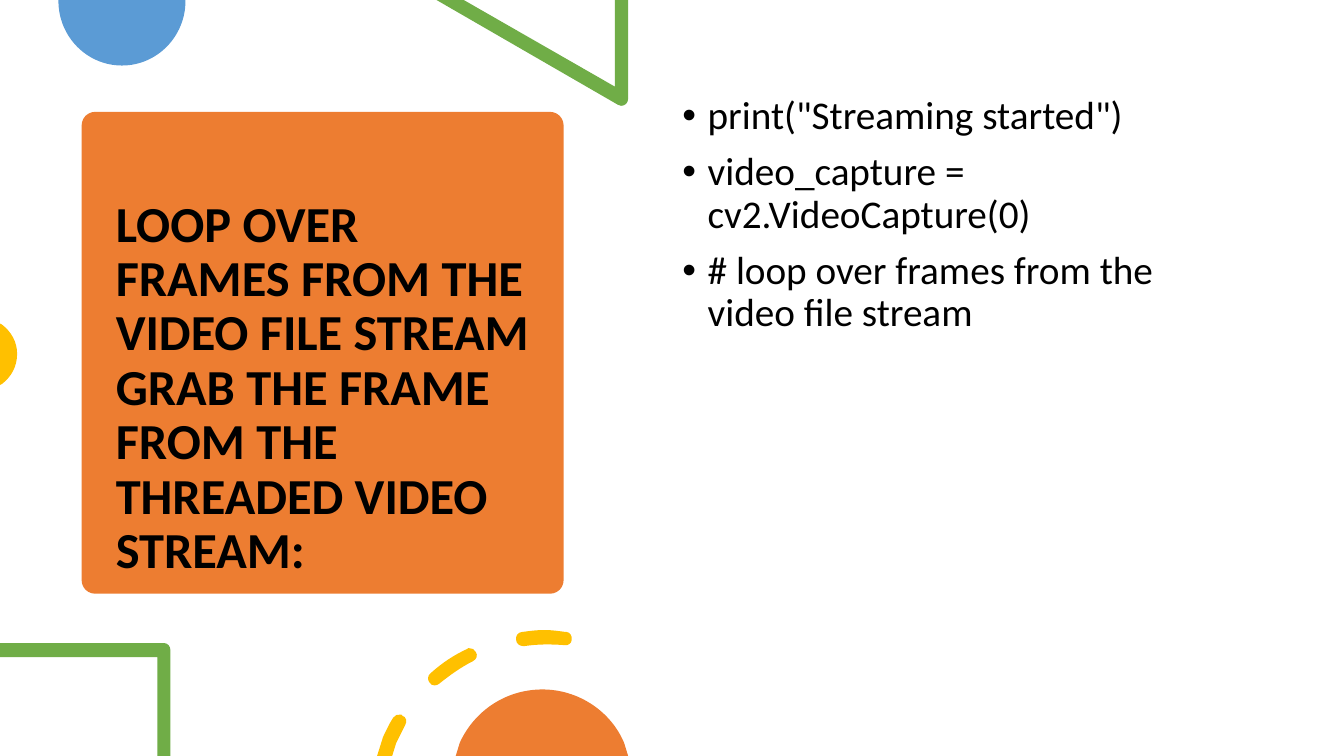
from lxml import etree
from pptx import Presentation
from pptx import util as u
from pptx.dml.color import RGBColor
from pptx.enum import shapes, text
from pptx.oxml.ns import qn

BLACK = RGBColor(0x00, 0x00, 0x00)
ORANGE = RGBColor(0xED, 0x7D, 0x31)
BLUE = RGBColor(0x5B, 0x9B, 0xD5)
GREEN = RGBColor(0x70, 0xAD, 0x47)
GOLD = RGBColor(0xFF, 0xC0, 0x00)

COLS, ROWS = 1333, 750
CELL = u.Inches(0.01)


class Deck:
    font = "Calibri"

    def __init__(self):
        self.prs = Presentation()
        self.prs.slide_width = COLS * CELL
        self.prs.slide_height = ROWS * CELL
        self.slide = self.prs.slides.add_slide(self.prs.slide_layouts[6])

    def paint(self, shape, color):
        shape.shadow.inherit = False
        shape.fill.solid()
        shape.fill.fore_color.rgb = color
        shape.line.fill.background()

    def card(self, box, color, round_by):
        shape = self.slide.shapes.add_shape(
            shapes.MSO_SHAPE.ROUNDED_RECTANGLE, *(v * CELL for v in box))
        shape.adjustments[0] = round_by
        self.paint(shape, color)

    def free(self, color, *paths):
        pen = self.slide.shapes.build_freeform(*paths[0][0], scale=CELL)
        for i, path in enumerate(paths):
            if i:
                pen.move_to(*path[0])
            pen.add_line_segments([part[-2:] for part in path[1:]], close=True)
        shape = pen.convert_to_shape()
        self.bend(shape, [part for path in paths for part in path[1:]])
        self.paint(shape, color)

    def bend(self, shape, parts):
        left, top = shape.left // CELL, shape.top // CELL
        lines = list(shape._element.iter(qn("a:lnTo")))
        for line, part in zip(lines, parts):
            if len(part) == 2:
                continue
            arc = etree.Element(qn("a:cubicBezTo"))
            for x, y in zip(part[0::2], part[1::2]):
                etree.SubElement(arc, qn("a:pt"), x=str(x - left), y=str(y - top))
            line.getparent().replace(line, arc)

    def frame(self, box, anchor):
        frame = self.slide.shapes.add_textbox(*(v * CELL for v in box)).text_frame
        frame.word_wrap = True
        frame.vertical_anchor = anchor
        return frame

    def run(self, para, words, size, bold=False):
        run = para.add_run()
        run.text = words
        run.font.name = self.font
        run.font.size = u.Pt(size)
        run.font.bold = bold
        run.font.color.rgb = BLACK

    def title(self, box, lines, size, drop):
        frame = self.frame(box, text.MSO_ANCHOR.MIDDLE)
        frame.margin_top = drop * CELL
        frame.margin_bottom = CELL
        para = frame.paragraphs[0]
        para.line_spacing = 0.9
        for i, line in enumerate(lines):
            if i:
                para.add_line_break()
            self.run(para, line, size, True)

    def list(self, box, items, size):
        frame = self.frame(box, text.MSO_ANCHOR.TOP)
        for i, item in enumerate(items):
            para = frame.add_paragraph() if i else frame.paragraphs[0]
            para.line_spacing = 0.9
            if i:
                para.space_before = u.Pt(10)
            props = para._p.get_or_add_pPr()
            props.set("marL", str(25 * CELL))
            props.set("indent", str(-25 * CELL))
            etree.SubElement(props, qn("a:buFont")).set("typeface", "Arial")
            etree.SubElement(props, qn("a:buChar")).set("char", "•")
            self.run(para, item, size)


def main():
    deck = Deck()
    deck.card((81, 111, 478, 478), ORANGE, 0.028)
    deck.title((105, 122, 431, 456), (
        "LOOP OVER FRAMES FROM THE VIDEO FILE STREAM",
        "GRAB THE FRAME FROM THE THREADED VIDEO STREAM:"), 36, 73)

    deck.free(BLUE, (
        (184, 0), (58, 0), (58, 1),
        (58, 36, 86, 65, 121, 65), (156, 65, 184, 36, 184, 1)))
    deck.free(GREEN, (
        (623, 0), (610, 0), (610, 86), (460, 0), (433, 0), (613, 104),
        (614, 105, 615, 105, 616, 105), (620, 105, 623, 102, 623, 98)))
    deck.free(GOLD, (
        (0, 321), (0, 382), (2, 381),
        (11, 374, 17, 364, 17, 351), (17, 339, 11, 329, 2, 322)))

    deck.list((667, 90, 575, 535), (
        'print("Streaming started")',
        "video_capture = cv2.VideoCapture(0)",
        "# loop over frames from the video file stream"), 28)

    deck.free(GREEN, (
        (163, 638), (0, 638), (0, 652), (156, 652), (156, 750), (169, 750),
        (169, 645), (169, 641, 166, 638, 163, 638)))
    low = (
        (397, 709), (394, 708, 392, 710, 390, 712),
        (386, 718, 383, 725, 380, 731), (374, 750), (389, 750), (393, 737),
        (396, 731, 399, 725, 402, 719), (404, 716, 403, 711, 399, 710),
        (399, 709, 398, 709, 397, 709))
    mid = (
        (465, 643), (465, 643, 464, 643, 463, 644),
        (450, 650, 438, 658, 427, 668), (424, 670, 424, 675, 426, 677),
        (427, 679, 429, 680, 431, 680), (431, 680),
        (433, 680, 435, 679, 436, 678),
        (446, 670, 457, 662, 469, 656), (473, 654, 474, 650, 472, 647),
        (471, 644, 468, 643, 465, 643))
    top = (
        (540, 625), (532, 625, 525, 626, 518, 627),
        (514, 627, 511, 631, 512, 635), (512, 638, 515, 641, 519, 641),
        (519, 641, 519, 641, 520, 641), (533, 639, 546, 639, 560, 640),
        (563, 641, 567, 638, 567, 635), (568, 631, 565, 627, 562, 627),
        (562, 627, 561, 627, 561, 627), (554, 626, 547, 625, 540, 625))
    deck.free(GOLD, low, mid, top)
    deck.free(ORANGE, (
        (538, 684), (501, 684, 470, 706, 456, 737), (452, 750),
        (623, 750), (619, 737), (606, 706, 574, 684, 538, 684)))
    deck.prs.save("out.pptx")


if __name__ == "__main__":
    main()
